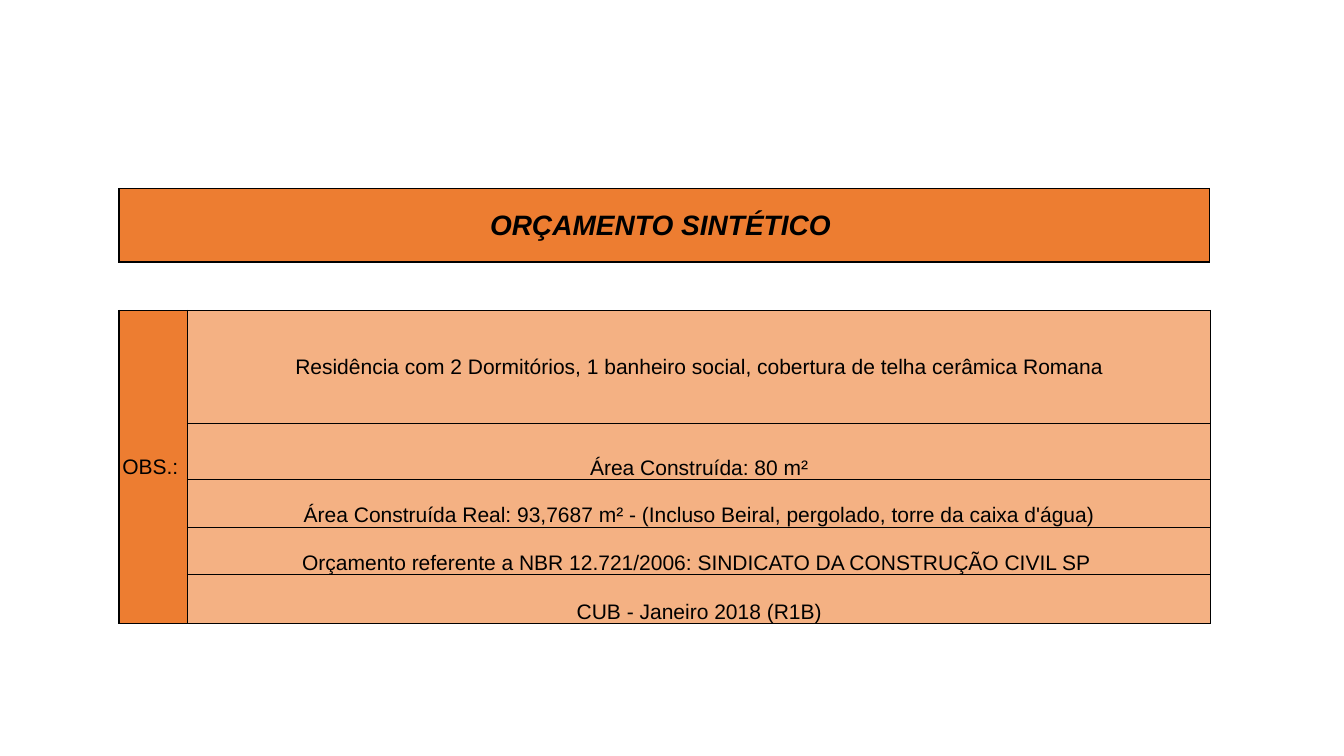
import lxml.etree
import pptx
import pptx.dml.color
import pptx.enum.text
import pptx.oxml.ns
import pptx.util

WIDTH, HEIGHT = 13.33, 7.5
LEFT = 1.18
ORANGE, PEACH, BLACK = "ED7D31", "F4B183", "000000"
MIDDLE = pptx.enum.text.MSO_ANCHOR.MIDDLE
BOTTOM = pptx.enum.text.MSO_ANCHOR.BOTTOM
NOTES = [
    "Residência com 2 Dormitórios, 1 banheiro social, cobertura de telha cerâmica Romana",
    "Área Construída: 80 m²",
    "Área Construída Real: 93,7687 m² - (Incluso Beiral, pergolado, torre da caixa d'água)",
    "Orçamento referente a NBR 12.721/2006: SINDICATO DA CONSTRUÇÃO CIVIL SP ",
    "CUB - Janeiro 2018 (R1B)",
]
NOTE_HEIGHTS = [1.12, 0.56, 0.47, 0.47, 0.49]


def color(value):
    return pptx.dml.color.RGBColor.from_string(value)


def add_grid(page, top, widths, heights):
    """Add an unbanded table with the given column widths and row heights."""
    box = [pptx.util.Inches(n) for n in (LEFT, top, sum(widths), sum(heights))]
    table = page.shapes.add_table(len(heights), len(widths), *box).table
    table.first_row = table.horz_banding = False
    for column, width in zip(table.columns, widths):
        column.width = pptx.util.Inches(width)
    for row, height in zip(table.rows, heights):
        row.height = pptx.util.Inches(height)
    return table


def set_borders(cell, top, bottom):
    """Draw black borders: 1 pt at the sides, the given points above and below."""
    properties = cell._tc.get_or_add_tcPr()
    for side, points in (("L", 1), ("R", 1), ("T", top), ("B", bottom)):
        line = lxml.etree.SubElement(properties, pptx.oxml.ns.qn("a:ln" + side),
                                     w=str(pptx.util.Pt(points)))
        fill = lxml.etree.SubElement(line, pptx.oxml.ns.qn("a:solidFill"))
        lxml.etree.SubElement(fill, pptx.oxml.ns.qn("a:srgbClr"), val=BLACK)


def fill_cell(cell, text, fill, anchor=MIDDLE, size=15, strong=False, top=1, bottom=1):
    set_borders(cell, top, bottom)
    cell.fill.solid()
    cell.fill.fore_color.rgb = color(fill)
    cell.vertical_anchor = anchor
    cell.margin_left = cell.margin_right = cell.margin_top = pptx.util.Inches(0.01)
    cell.margin_bottom = 0
    cell.text = text
    para = cell.text_frame.paragraphs[0]
    para.alignment = pptx.enum.text.PP_ALIGN.CENTER
    para.font.name = "Arial"
    para.font.size = pptx.util.Pt(size)
    para.font.bold = para.font.italic = strong
    para.font.color.rgb = color(BLACK)


def add_heading(page):
    table = add_grid(page, 1.87, [10.82], [0.73])
    fill_cell(table.cell(0, 0), "ORÇAMENTO SINTÉTICO ", ORANGE, size=20, strong=True)


def add_notes(page):
    table = add_grid(page, 3.08, [0.68, 10.15], NOTE_HEIGHTS)
    last = len(NOTES) - 1
    for index, note in enumerate(NOTES):
        fill_cell(table.cell(index, 0), "" if index else "OBS.: ", ORANGE)
        fill_cell(table.cell(index, 1), note, PEACH,
                  anchor=BOTTOM if index else MIDDLE,
                  top=0.5 if index else 1,
                  bottom=1 if index == last else 0.5)
    table.cell(0, 0).merge(table.cell(last, 0))


def main():
    deck = pptx.Presentation()
    deck.slide_width = pptx.util.Inches(WIDTH)
    deck.slide_height = pptx.util.Inches(HEIGHT)
    page = deck.slides.add_slide(deck.slide_layouts[6])
    add_heading(page)
    add_notes(page)
    deck.save("out.pptx")


if __name__ == "__main__":
    main()
